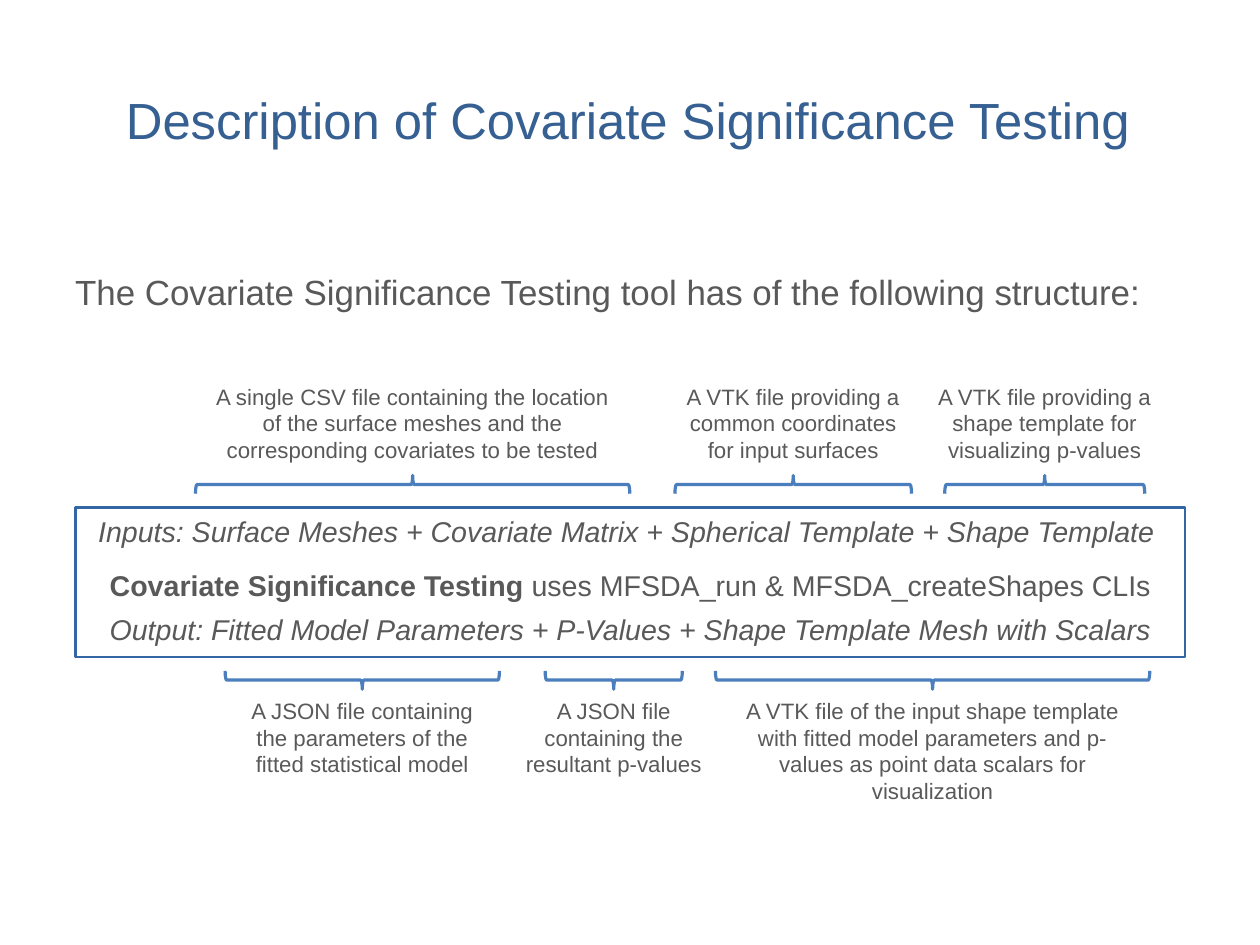
from pptx import Presentation
from pptx import util as u
from pptx.dml.color import RGBColor
from pptx.enum import shapes, text

COLORS = {"title": "366092", "body": "595959", "box": "3465A4", "brace": "4B7EBC"}
CM_PER_INCH = 2.54

presentation = Presentation()
presentation.slide_width = u.Inches(28 / CM_PER_INCH)
presentation.slide_height = u.Inches(21 / CM_PER_INCH)
slide = presentation.slides.add_slide(presentation.slide_layouts[6])


def write(paragraph, content, size=14, color="body", bold=False, italic=False,
          align=text.PP_ALIGN.CENTER, before=0, after=0):
    paragraph.alignment = align
    paragraph.space_before = u.Pt(before)
    paragraph.space_after = u.Pt(after)
    run = paragraph.add_run()
    run.text = content
    run.font.name = "Arial"
    run.font.size = u.Pt(size)
    run.font.bold = bold
    run.font.italic = italic
    run.font.color.rgb = RGBColor.from_string(COLORS[color])


def add_outline(kind, left, top, width, height, color, weight):
    shape = slide.shapes.add_shape(
        kind, u.Inches(left), u.Inches(top), u.Inches(width), u.Inches(height))
    shape.shadow.inherit = False
    shape.fill.background()
    shape.line.color.rgb = RGBColor.from_string(COLORS[color])
    shape.line.width = u.Pt(weight)
    return shape


title = slide.shapes.add_textbox(u.Inches(0.5), u.Inches(0.42), u.Inches(10), u.Inches(1.25))
title.text_frame.word_wrap = True
title.text_frame.vertical_anchor = text.MSO_ANCHOR.MIDDLE
write(title.text_frame.paragraphs[0], "Description of Covariate Significance Testing",
      size=32, color="title")

intro = slide.shapes.add_textbox(u.Inches(0.56), u.Inches(2.32), u.Inches(9.9), u.Inches(0.55))
intro.text_frame.word_wrap = True
write(intro.text_frame.paragraphs[0],
      "The Covariate Significance Testing tool has of the following structure: ",
      size=22, align=text.PP_ALIGN.JUSTIFY)

structure = add_outline(shapes.MSO_SHAPE.RECTANGLE, 0.66, 4.44, 9.71, 1.31, "box", 1.5)
frame = structure.text_frame
frame.word_wrap = True
frame.vertical_anchor = text.MSO_ANCHOR.TOP
frame.margin_left = frame.margin_right = u.Inches(0.11)
frame.margin_top = frame.margin_bottom = u.Inches(0.06)
inputs, tool, output = frame.paragraphs[0], frame.add_paragraph(), frame.add_paragraph()
write(inputs, "Inputs: Surface Meshes + Covariate Matrix + Spherical Template + Shape Template ",
      size=18, italic=True, after=6)
write(tool, "Covariate Significance Testing ", size=18, bold=True, before=6, after=6)
write(tool, "uses MFSDA_run & MFSDA_createShapes CLIs", size=18, before=6, after=6)
write(output, "Output: Fitted Model Parameters + P-Values + Shape Template Mesh with Scalars",
      size=18, italic=True)

BRACE_DEPTH = 0.16
ROWS = [
    (90, 4.24, 3.3, [
        (3.61, 3.8, 3.8, "A single CSV file containing the location of the surface meshes "
                         "and the corresponding covariates to be tested"),
        (6.94, 2.07, 2.1, "A VTK file providing a common coordinates for input surfaces"),
        (9.14, 1.75, 2.1, "A VTK file providing a shape template for visualizing p-values"),
    ]),
    (270, 5.95, 6.05, [
        (3.17, 2.4, 2.23, "A JSON file containing the parameters of the fitted "
                          "statistical model"),
        (5.37, 1.2, 1.78, "A JSON file containing the resultant p-values"),
        (8.16, 3.8, 3.8, "A VTK file of the input shape template with fitted model parameters "
                         "and p-values as point data scalars for visualization"),
    ]),
]
for rotation, brace_middle, caption_top, captions in ROWS:
    for center, length, width, content in captions:
        brace = add_outline(shapes.MSO_SHAPE.LEFT_BRACE, center - BRACE_DEPTH / 2,
                            brace_middle - length / 2, BRACE_DEPTH, length, "brace", 2)
        brace.rotation = rotation
        caption = slide.shapes.add_textbox(u.Inches(center - width / 2), u.Inches(caption_top),
                                           u.Inches(width), u.Inches(0.85))
        caption.text_frame.word_wrap = True
        write(caption.text_frame.paragraphs[0], content)

presentation.save("out.pptx")
